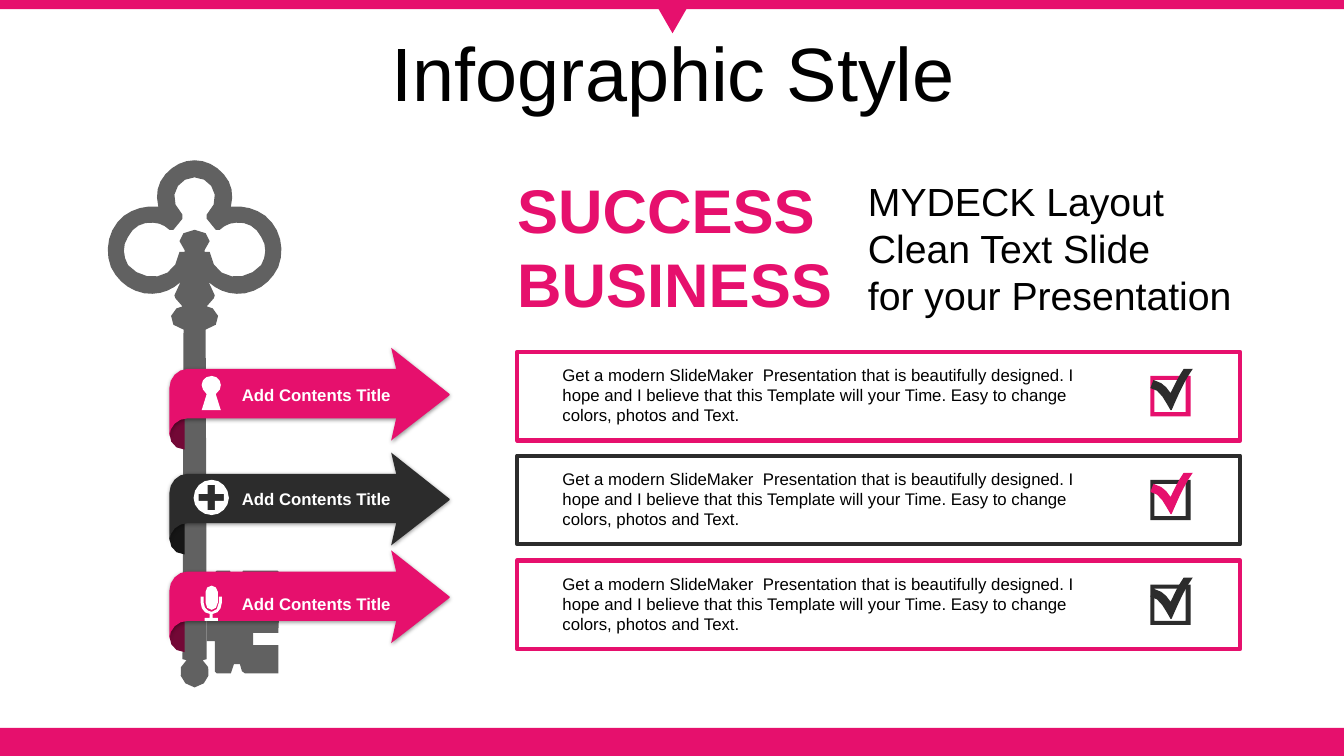
import math

import pptx
import pptx.util
import pptx.dml.color
import pptx.enum.shapes
import pptx.enum.text
import pptx.oxml
import pptx.oxml.ns

RGB = pptx.dml.color.RGBColor
PINK = RGB(0xE6, 0x10, 0x6D)
WINE = RGB(0x73, 0x08, 0x36)
DARK = RGB(0x2C, 0x2C, 0x2C)
BLACK_FOLD = RGB(0x16, 0x16, 0x16)
GREY = RGB(0x61, 0x61, 0x61)
WHITE = RGB(0xFF, 0xFF, 0xFF)
BLACK = RGB(0, 0, 0)

PX = 9144
WIDTH, HEIGHT = 1333, 750
SHAPE = pptx.enum.shapes.MSO_SHAPE
ALIGN = pptx.enum.text.PP_ALIGN
ANCHOR = pptx.enum.text.MSO_ANCHOR

KEY_HALF = (
    "M 0 0 C 11 0 21 5 29 14 C 37 23 39 34 36 46 C 50 45 60 48 70 55 "
    "C 85 67 90 88 83 106 C 76 120 65 129 50 132 C 36 134 24 130 14 121 L 20 134 "
    "L 19 137 L 12 145 L 18 147 C 27 152 25 167 11 168 L 12 495 L 8 496 "
    "C 19 503 15 521 0 523 "
    "M 0 17 C 17 17 29 38 12 54 L 12 58 L 21 69 L 25 69 C 29 65 35 62 41 62 "
    "C 52 61 61 66 66 76 C 72 85 71 95 66 104 C 52 121 19 121 15 91 L 10 91 "
    "L 10 89 C 20 81 14 69 0 69")
KEY_BIT = (
    "M 10 102 L 8 100 L 8 70 L 0 70 L 0 31 L 8 31 L 8 2 L 10 0 L 23 0 L 27 8 "
    "L 33 8 L 36 0 L 70 0 L 72 2 L 72 27 L 47 27 L 46 40 L 72 40 L 71 62 L 46 62 "
    "L 46 74 L 71 74 L 71 102 L 38 102 L 35 100 L 33 93 L 27 93 L 24 102")
RIBBON = ("M 220 -21 L 278 25 L 278 26 L 220 71 L 225 49 L 18 49 C 8 49 0 57 0 67 "
          "L 0 19 C 0 9 8 0 18 0 L 225 0")
FOLD = "M 15 49 L 15 80 C 6 80 0 73 0 64 C 0 56 6 49 15 49"
KEYHOLE = ("M 10 0 C 15 0 19 4 19 9 C 19 12 18 15 14 18 L 19 34 L 0 34 "
           "L 5 18 C 2 15 0 12 0 9 C 0 4 4 0 10 0")
PLUS = ("M 18 0 C 27 0 35 8 35 18 C 35 27 27 35 18 35 C 8 35 0 27 0 18 C 0 8 8 0 18 0 "
        "M 14 5 L 14 14 L 5 14 L 5 21 L 14 21 L 14 30 L 21 30 L 21 21 L 30 21 L 30 14 "
        "L 21 14 L 21 5")
MICROPHONE = (
    "M 18 11 L 21 11 L 21 17 C 21 23 17 28 12 28 L 12 32 L 17 32 L 17 35 L 4 35 L 4 32 "
    "L 9 32 L 9 28 C 4 28 0 23 0 17 L 0 11 L 3 11 L 3 17 C 3 22 7 26 11 26 "
    "C 15 26 18 22 18 17 M 11 0 C 14 0 17 3 17 6 L 17 17 C 17 21 14 24 11 24 "
    "C 7 24 5 21 5 17 L 5 6 C 5 3 7 0 11 0")
CHECK_BOX = "M 0 0 L 40 0 L 40 40 L 0 40 M 4 4 L 4 36 L 35 36 L 35 4"
TICK = ("M 33 0 L 42 0 C 34 11 27 27 21 41 L 20 41 C 15 33 10 20 0 19 L 3 11 "
        "C 13 14 15 17 20 24 C 25 14 27 9 33 0")

LABEL = "Add Contents Title"
BODY = ("Get a modern SlideMaker  Presentation that is beautifully designed. I hope and "
        "I believe that this Template will your Time. Easy to change colors, photos and Text.")
ROWS = [
    (349, 366, PINK, WINE, KEYHOLE, (200, 24), PINK, DARK),
    (452, 470, DARK, BLACK_FOLD, PLUS, (192, 24), DARK, PINK),
    (556, 567, PINK, WINE, MICROPHONE, (199, 25), DARK, DARK),
]


def trace(path):
    """Turn a path string into contours, using more steps for longer curves."""
    contours, tokens = [], iter(path.split())
    for command in tokens:
        count = 3 if command == "C" else 1
        pts = [(int(next(tokens)), int(next(tokens))) for _ in range(count)]
        if command == "M":
            contours.append([])
        if command == "C":
            a, (b, c, d) = contours[-1][-1], pts
            steps = 2 + int(math.dist(a, d) / 12)
            pts = [tuple((1 - t) ** 3 * a[k] + 3 * t * (1 - t) ** 2 * b[k]
                         + 3 * t * t * (1 - t) * c[k] + t ** 3 * d[k] for k in (0, 1))
                   for t in (i / steps for i in range(1, steps + 1))]
        contours[-1].extend(pts)
    return contours


def paint(sp, fill, line=None):
    """Give a shape a flat fill, an optional 3 pt outline and no shadow."""
    sp.shadow.inherit = False
    sp.fill.solid()
    sp.fill.fore_color.rgb = fill
    if line is None:
        sp.line.fill.background()
    else:
        sp.line.color.rgb = line
        sp.line.width = pptx.util.Pt(3)
    return sp


def add_preset(slide, kind, x, y, w, h, fill, line=None):
    """Add a preset shape in the given box."""
    sp = slide.shapes.add_shape(kind, x * PX, y * PX, w * PX, h * PX)
    return paint(sp, fill, line)


def add_outline(slide, x, y, contours, fill):
    """Add one freeform whose contours are measured from x, y."""
    builder = None
    for contour in contours:
        pts = [(round(px * PX), round(py * PX)) for px, py in contour]
        if builder is None:
            builder = slide.shapes.build_freeform(*pts[0], scale=1.0)
        else:
            builder.move_to(*pts[0])
        builder.add_line_segments(pts[1:], close=True)
    return paint(builder.convert_to_shape(x * PX, y * PX), fill)


def format_text(tf, size, color, bold=False, align=ALIGN.LEFT):
    """Format every paragraph and run of a text frame."""
    tf.word_wrap = True
    for p in tf.paragraphs:
        p.alignment = align
        for r in p.runs:
            r.font.name = "Arial"
            r.font.size = pptx.util.Pt(size)
            r.font.bold = bold
            r.font.color.rgb = color


def add_text(slide, x, y, w, h, text, size, color, bold=False, align=ALIGN.LEFT):
    """Add a wrapping text box and return its text frame."""
    tf = slide.shapes.add_textbox(x * PX, y * PX, w * PX, h * PX).text_frame
    tf.text = text
    format_text(tf, size, color, bold, align)
    return tf


def add_frame(slide):
    """Draw the top and bottom bands and the pointer."""
    add_preset(slide, SHAPE.RECTANGLE, 0, 722, WIDTH, 28, PINK)
    add_preset(slide, SHAPE.RECTANGLE, 0, 0, WIDTH, 9, PINK)
    add_preset(slide, SHAPE.ISOSCELES_TRIANGLE, 648, 0, 38, 33, PINK).rotation = 180


def add_title(slide, x, y, w, h):
    """Place and format the title placeholder."""
    sp = slide.shapes.title
    sp.left, sp.top, sp.width, sp.height = x * PX, y * PX, w * PX, h * PX
    tf = sp.text_frame
    tf.text = "Infographic Style"
    tf.auto_size = pptx.enum.text.MSO_AUTO_SIZE.NONE
    tf.vertical_anchor = ANCHOR.MIDDLE
    tf.paragraphs[0].line_spacing = 0.9
    format_text(tf, 54, BLACK, align=ALIGN.CENTER)


def add_key(slide, center, top):
    """Draw the key, its body mirrored about the vertical centre line."""
    body = [half + [(-x, y) for x, y in reversed(half[1:-1])] for half in trace(KEY_HALF)]
    add_outline(slide, center + 12, top + 407, trace(KEY_BIT), GREY)
    add_outline(slide, center, top, body, GREY)


def add_heading(slide, x, y):
    """Write the two headings side by side."""
    add_text(slide, x, y, 335, 158, "SUCCESS BUSINESS", 44, PINK, True, ALIGN.JUSTIFY)
    tf = add_text(slide, x + 348, y + 4, 389, 151,
                  "MYDECK Layout\nClean Text Slide\nfor your Presentation", 28, BLACK)
    tf.vertical_anchor = ANCHOR.MIDDLE


def add_ribbon(slide, x, y, fill, fold):
    """Draw an arrow ribbon with its fold and a soft shadow."""
    add_outline(slide, x, y, trace(FOLD), fold)
    sp = add_outline(slide, x, y, trace(RIBBON), fill)
    effects = sp._element.spPr.find(pptx.oxml.ns.qn("a:effectLst"))
    effects.append(pptx.oxml.parse_xml(
        f'<a:outerShdw {pptx.oxml.ns.nsdecls("a")} blurRad="38100" dist="12700" dir="5400000">'
        '<a:srgbClr val="000000"><a:alpha val="40000"/></a:srgbClr></a:outerShdw>'))


def add_card(slide, x, y, line, box, tick):
    """Draw an outlined card with its text and check mark."""
    add_preset(slide, SHAPE.RECTANGLE, x, y, 717, 88, WHITE, line)
    add_outline(slide, x + 628, y + 24, trace(CHECK_BOX), box)
    add_outline(slide, x + 628, y + 17, trace(TICK), tick)
    add_text(slide, x + 35, y + 8, 545, 71, BODY, 12, BLACK)


def main():
    """Build the slide and save it."""
    prs = pptx.Presentation()
    prs.slide_width, prs.slide_height = WIDTH * PX, HEIGHT * PX
    slide = prs.slides.add_slide(prs.slide_layouts[5])
    add_frame(slide)
    add_title(slide, 35, 37, 1266, 79)
    add_key(slide, 193, 159)
    add_heading(slide, 503, 166)
    for card_y, ribbon_y, color, fold, icon, (icon_x, icon_dy), box, tick in ROWS:
        add_ribbon(slide, 168, ribbon_y, color, fold)
        add_outline(slide, icon_x, card_y + icon_dy, trace(icon), WHITE)
        add_text(slide, 230, card_y + 28, 173, 30, LABEL, 12, WHITE, True)
        add_card(slide, 513, card_y, color, box, tick)
    prs.save("out.pptx")


if __name__ == "__main__":
    main()
